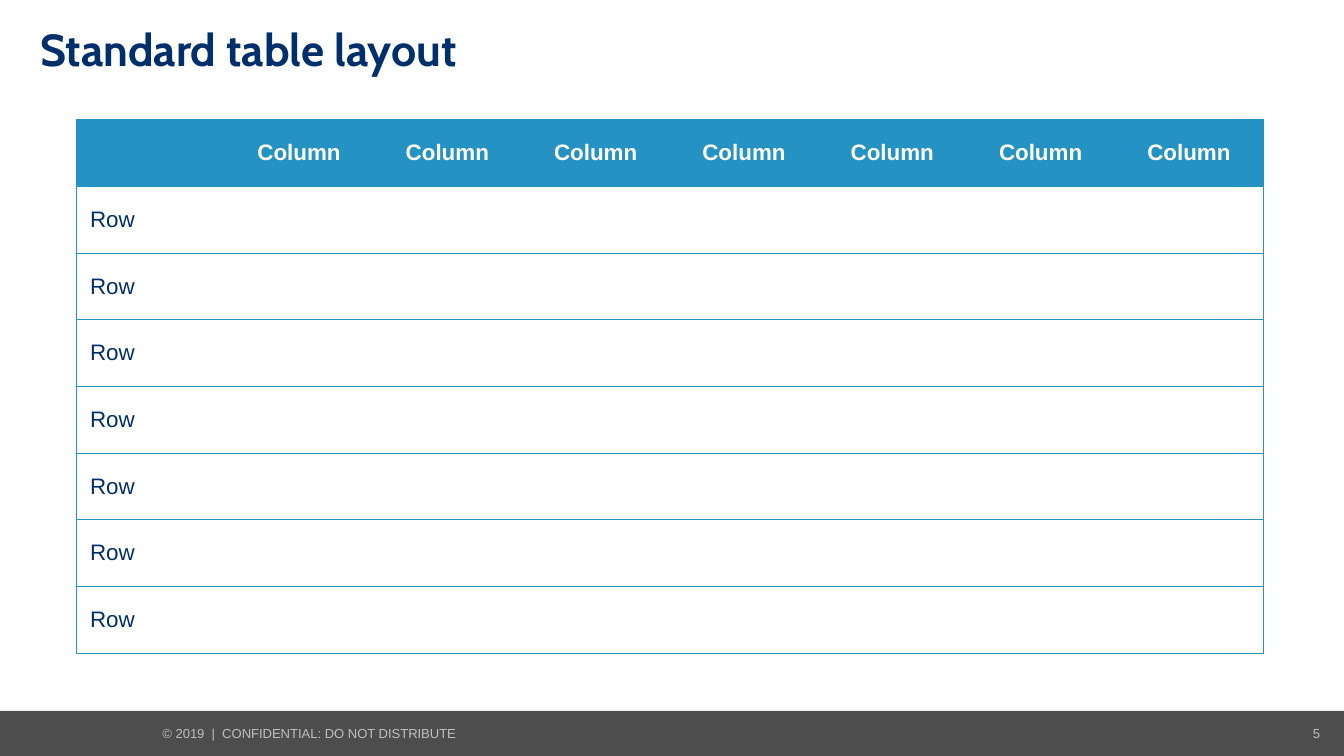
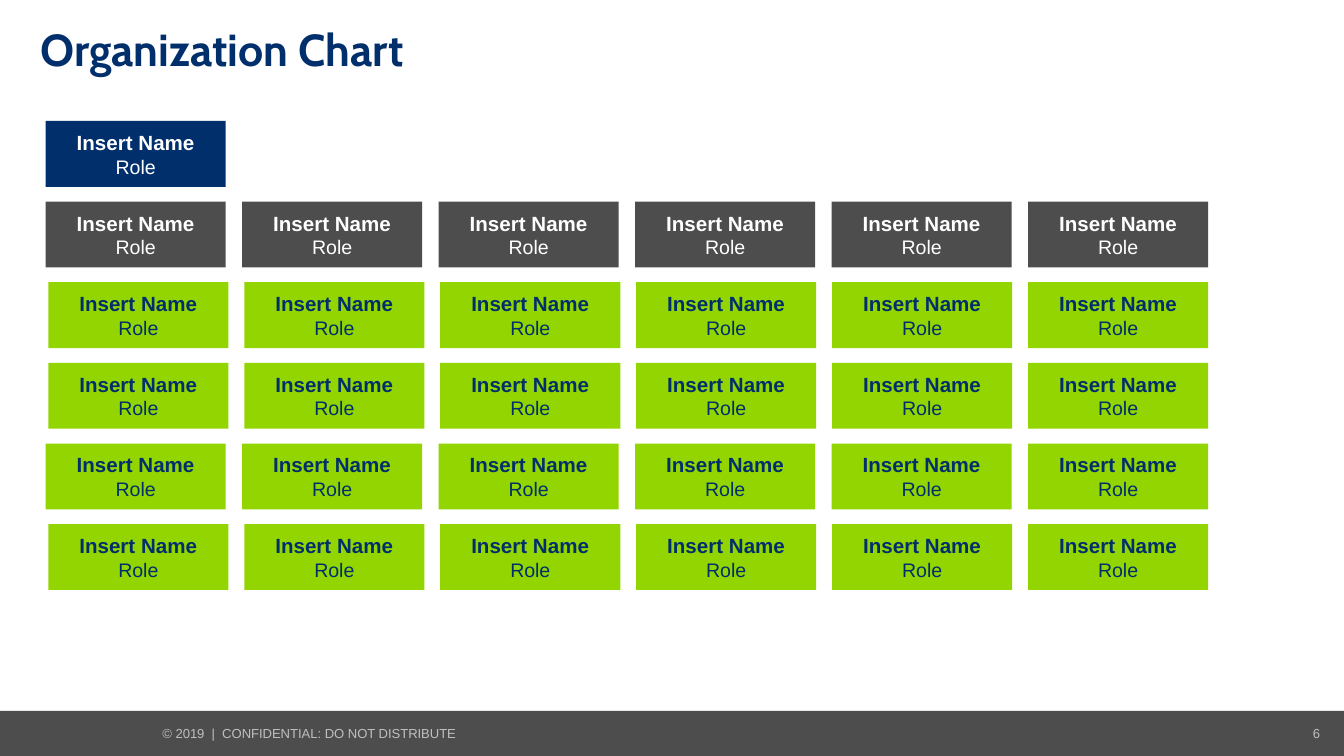
from dataclasses import dataclass

from lxml import etree
from pptx import Presentation
from pptx.dml.color import RGBColor
from pptx.enum.shapes import MSO_SHAPE
from pptx.enum.text import MSO_ANCHOR, PP_ALIGN
from pptx.oxml.ns import qn
from pptx.util import Inches, Pt

RECT = MSO_SHAPE.RECTANGLE
MIDDLE = MSO_ANCHOR.MIDDLE
LEFT, CENTER, RIGHT = PP_ALIGN.LEFT, PP_ALIGN.CENTER, PP_ALIGN.RIGHT
TITLE_ONLY = 5
PLAIN_TABLE_STYLE = "{2D5ABB26-0587-4C30-8999-92F81FD0307C}"
FOOTER = "© 2019  |  CONFIDENTIAL: DO NOT DISTRIBUTE"
FIRST_NUMBER = 5


@dataclass(frozen=True)
class Theme:
    navy: str = "002F6C"
    blue: str = "2492C3"
    green: str = "93D500"
    dark: str = "4D4D4D"
    light: str = "BFBFBF"
    white: str = "FFFFFF"
    title_font: str = "Cabin"
    body_font: str = "Arial"
    title_size: float = 24
    table_size: float = 12
    name_size: float = 11
    role_size: float = 10.5
    footer_size: float = 7
    rule_width: float = 0.5


T = Theme()


def style(p, size, color, bold=False, align=LEFT, font=T.body_font):
    p.alignment = align
    p.font.name = font
    p.font.size = Pt(size)
    p.font.bold = bold
    p.font.color.rgb = RGBColor.from_string(color)


def add_box(slide, left, top, width, height, color):
    sp = slide.shapes.add_shape(
        RECT, Inches(left), Inches(top), Inches(width), Inches(height))
    sp.shadow.inherit = False
    sp.fill.solid()
    sp.fill.fore_color.rgb = RGBColor.from_string(color)
    sp.line.fill.background()
    return sp


def add_label(slide, left, top, width, height, text, align=LEFT):
    box = slide.shapes.add_textbox(
        Inches(left), Inches(top), Inches(width), Inches(height))
    tf = box.text_frame
    tf.word_wrap = True
    tf.text = text
    style(tf.paragraphs[0], T.footer_size, T.light, align=align)
    return tf


def add_footer(slide, top, number):
    add_box(slide, 0, top, 10, 0.34, T.dark)
    add_label(slide, 1.11, top + 0.06, 2.55, 0.22, FOOTER)
    tf = add_label(slide, 9.57, top + 0.05, 0.35, 0.23, str(number), RIGHT)
    tf.vertical_anchor = MIDDLE
    tf.margin_top = tf.margin_bottom = Inches(0.1)


def add_slide(prs, title, number):
    slide = prs.slides.add_slide(prs.slide_layouts[TITLE_ONLY])
    add_footer(slide, 5.29, number)
    sp = slide.shapes.title
    sp.left, sp.top = Inches(0.2), Inches(0.15)
    sp.width, sp.height = Inches(9.1), Inches(0.48)
    tf = sp.text_frame
    tf.text = title
    tf.vertical_anchor = MIDDLE
    p = tf.paragraphs[0]
    p.line_spacing = 0.9
    style(p, T.title_size, T.navy, bold=True, font=T.title_font)
    return slide


def set_borders(cell, sides):
    """Rule the given sides; sides come in the order L, R, T, B."""
    tc_pr = cell._tc.get_or_add_tcPr()
    for side in sides:
        ln = etree.SubElement(tc_pr, qn("a:ln" + side),
                              w=str(Pt(T.rule_width)))
        fill = etree.SubElement(ln, qn("a:solidFill"))
        etree.SubElement(fill, qn("a:srgbClr"), val=T.blue)


def add_grid_table(slide, left, top, width, height, n_rows, n_cols):
    frame = slide.shapes.add_table(
        n_rows, n_cols, Inches(left), Inches(top), Inches(width), Inches(height))
    table = frame.table
    table.horz_banding = False
    frame._element.find(".//" + qn("a:tableStyleId")).text = PLAIN_TABLE_STYLE
    for r in range(n_rows):
        for c in range(n_cols):
            cell = table.cell(r, c)
            cell.vertical_anchor = MIDDLE
            # Outer frame and horizontal rules only
            sides = ("L" if c == 0 else "") + ("R" if c == n_cols - 1 else "")
            set_borders(cell, sides + "TB")
            if r == 0:
                cell.fill.solid()
                cell.fill.fore_color.rgb = RGBColor.from_string(T.blue)
            else:
                cell.fill.background()
            # Headings across the top and down the first column
            if r == 0 and c > 0:
                cell.text = "Column"
                style(cell.text_frame.paragraphs[0], T.table_size, T.white,
                      bold=True, align=CENTER)
            elif r > 0 and c == 0:
                cell.text = "Row"
                style(cell.text_frame.paragraphs[0], T.table_size, T.navy)


def add_person(slide, left, top, width, height, fill, color):
    tf = add_box(slide, left, top, width, height, fill).text_frame
    tf.word_wrap = True
    tf.vertical_anchor = MIDDLE
    tf.text = "Insert Name\nRole"
    name, role = tf.paragraphs
    style(name, T.name_size, color, bold=True, align=CENTER)
    style(role, T.role_size, color, align=CENTER)


def add_org_chart(slide, left, top, width, height):
    box_w, box_h, columns = 1.34, 0.49, 6
    # Each level: indent, number of boxes, fill, text colour
    levels = [
        (0, 1, T.navy, T.white),
        (0, columns, T.dark, T.white),
        (0.02, columns, T.green, T.navy),
        (0.02, columns, T.green, T.navy),
        (0, columns, T.green, T.navy),
        (0.02, columns, T.green, T.navy),
    ]
    row_step = (height - box_h) / (len(levels) - 1)
    for row, (indent, count, fill, color) in enumerate(levels):
        # All levels end at the same right edge
        col_step = (width - indent - box_w) / (columns - 1)
        for col in range(count):
            add_person(slide, left + indent + col * col_step,
                       top + row * row_step, box_w, box_h, fill, color)


def main():
    prs = Presentation()
    # 16:9 page
    prs.slide_width, prs.slide_height = Inches(10), Inches(10 * 9 / 16)

    slide = add_slide(prs, "Standard table layout", FIRST_NUMBER)
    add_grid_table(slide, 0.57, 0.89, 8.83, 3.97, n_rows=8, n_cols=8)

    slide = add_slide(prs, "Organization Chart", FIRST_NUMBER + 1)
    add_org_chart(slide, 0.34, 0.9, 8.65, 3.49)

    prs.save("out.pptx")


if __name__ == "__main__":
    main()
